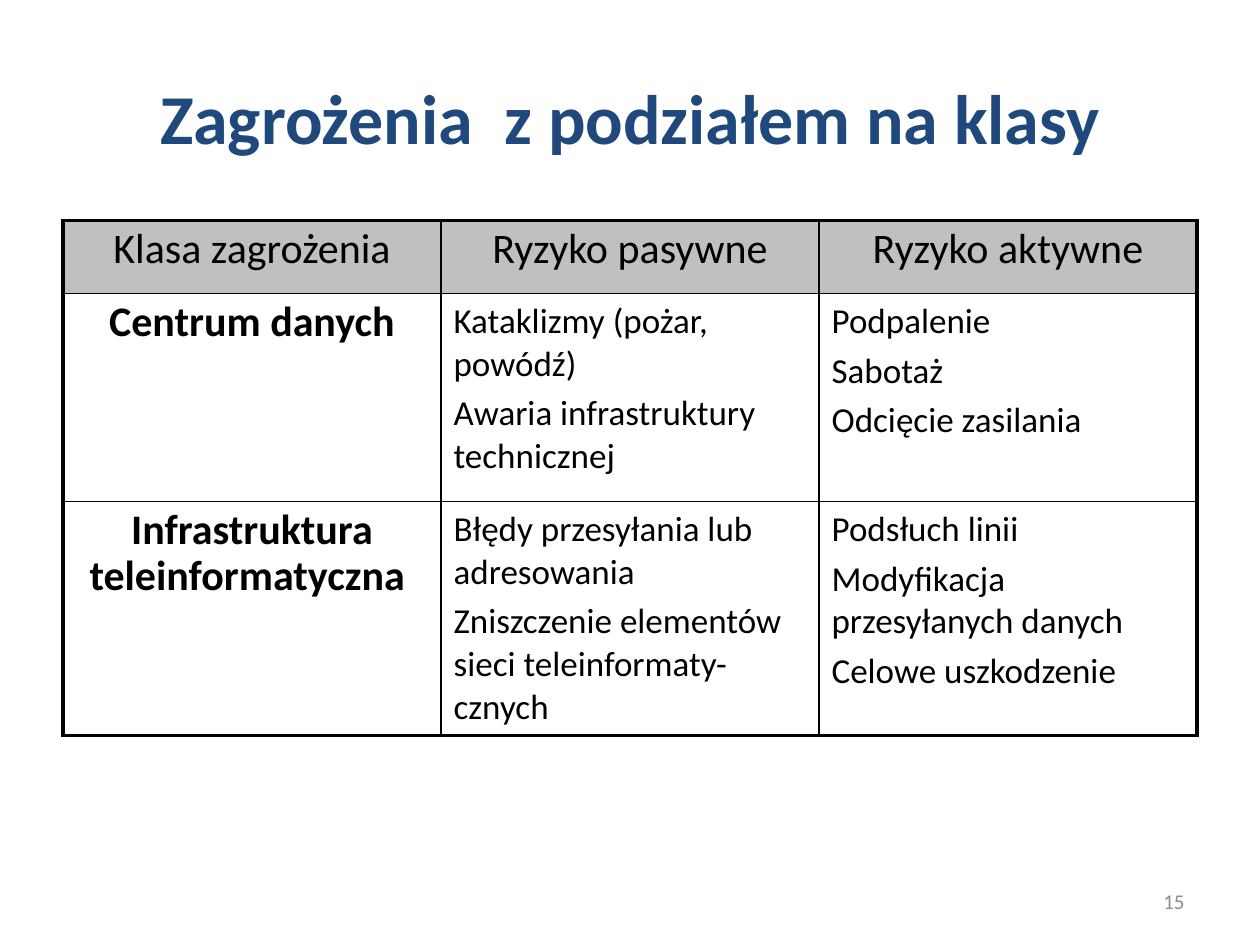
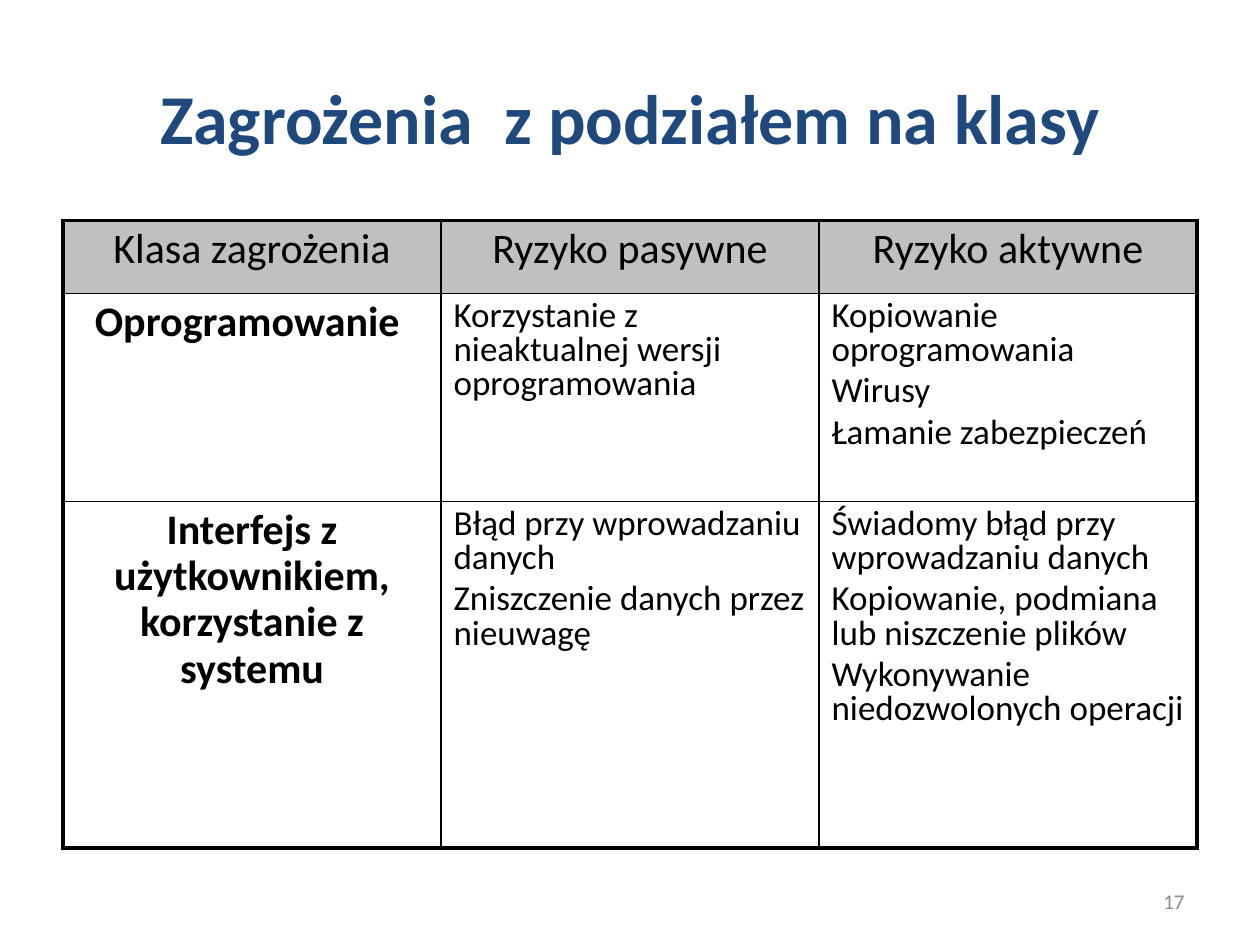
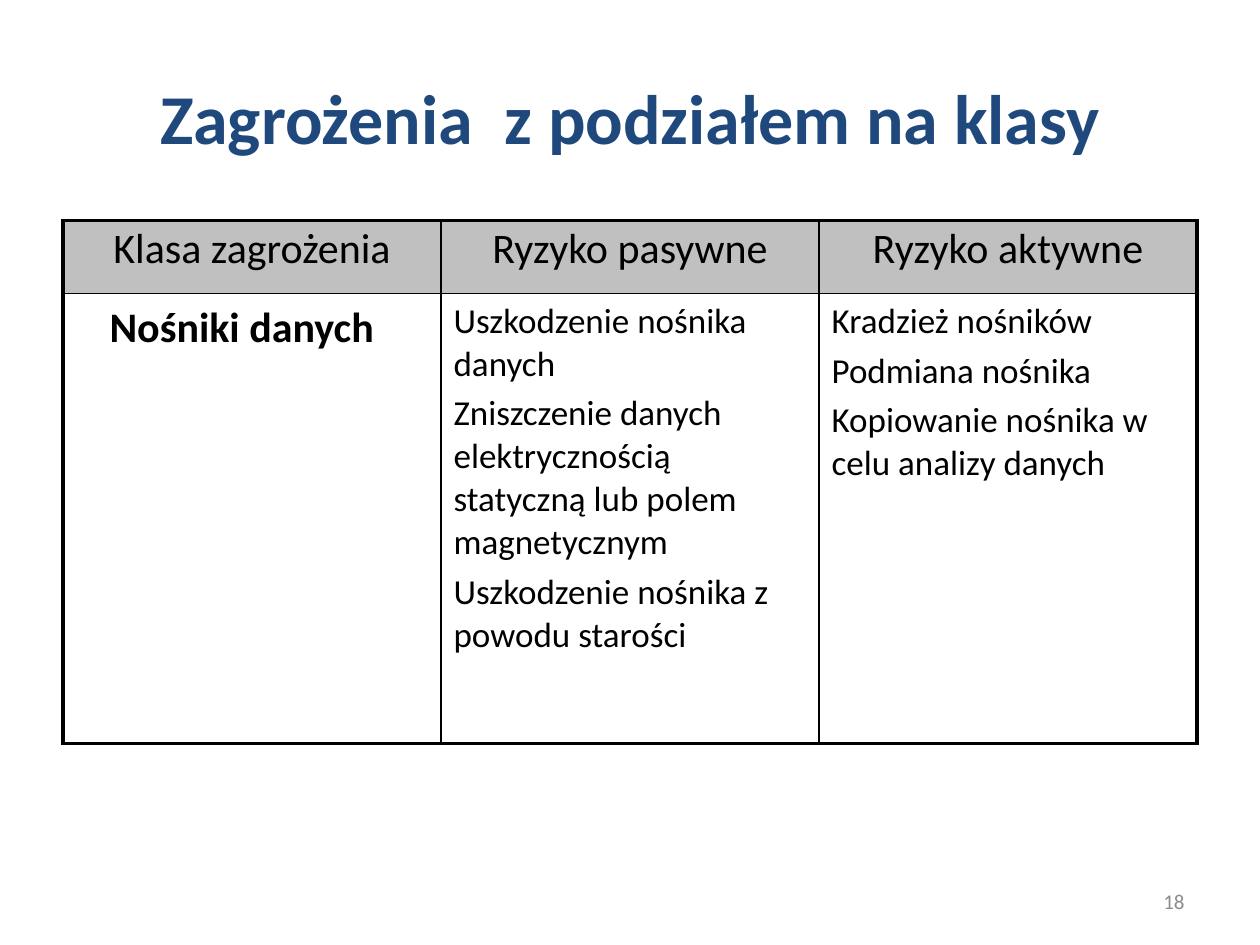
from lxml.etree import SubElement
from pptx import Presentation
from pptx.dml.color import RGBColor
from pptx.enum.text import MSO_ANCHOR, PP_ALIGN
from pptx.oxml.ns import qn
from pptx.util import Inches, Pt

TITLE = "Zagrożenia  z podziałem na klasy"
HEADINGS = ["Klasa zagrożenia", "Ryzyko pasywne", "Ryzyko aktywne"]
HEADING_HEIGHT = 0.58


def color(hex_string):
    return RGBColor.from_string(hex_string)


class ThreatDeck:
    FONT = "Calibri"
    NAVY, BLACK, SILVER, GRAY = "1F497D", "000000", "C0C0C0", "8C8C8C"
    OUTER, INNER = 2.25, 1
    LEFT, WIDTH = 0.5, 9

    def __init__(self):
        self.deck = Presentation()
        self.deck.slide_width, self.deck.slide_height = Inches(10), Inches(7.5)
        self.page = None

    def add_page(self):
        self.page = self.deck.slides.add_slide(self.deck.slide_layouts[5])

    def add_span(self, para, text, size, hex_string, bold=False):
        span = para.add_run()
        span.text = text
        span.font.name, span.font.size, span.font.bold = self.FONT, Pt(size), bold
        span.font.color.rgb = color(hex_string)

    def place_title(self, text):
        box = self.page.shapes.title
        box.left, box.top = Inches(self.LEFT), Inches(0.3)
        box.width, box.height = Inches(self.WIDTH), Inches(1.25)
        box.text_frame.vertical_anchor = MSO_ANCHOR.MIDDLE
        para = box.text_frame.paragraphs[0]
        para.alignment = PP_ALIGN.CENTER
        self.add_span(para, text, 40, self.NAVY, True)

    def add_page_number(self, number):
        box = self.page.shapes.add_textbox(Inches(7.17), Inches(6.95), Inches(2.33), Inches(0.4))
        box.text_frame.word_wrap = True
        box.text_frame.vertical_anchor = MSO_ANCHOR.MIDDLE
        para = box.text_frame.paragraphs[0]
        para.alignment = PP_ALIGN.RIGHT
        self.add_span(para, str(number), 12, self.GRAY)

    def set_borders(self, cell, outer_edges):
        properties = cell._tc.get_or_add_tcPr()
        for side, is_outer in outer_edges.items():
            width = Pt(self.OUTER if is_outer else self.INNER)
            line = SubElement(properties, qn(f"a:ln{side}"), w=str(width))
            SubElement(SubElement(line, qn("a:solidFill")), qn("a:srgbClr"), val=self.BLACK)

    def fill_cell(self, cell, paragraphs, size, bold, align, spacing):
        """Each paragraph is a string or a list of (text, size, bold) spans."""
        for index, content in enumerate(paragraphs):
            frame = cell.text_frame
            para = frame.add_paragraph() if index else frame.paragraphs[0]
            para.alignment, para.line_spacing = align, spacing
            para.space_before = Pt(size * 0.2)
            spans = [(content, size, bold)] if isinstance(content, str) else content
            for text, span_size, span_bold in spans:
                self.add_span(para, text, span_size, self.BLACK, span_bold)

    def add_threat_table(self, threats, heights, body_spacing):
        rows = [[[heading] for heading in HEADINGS]] + threats
        heights = [HEADING_HEIGHT] + heights
        columns = len(HEADINGS)
        frame = self.page.shapes.add_table(
            len(rows), columns, Inches(self.LEFT), Inches(1.75),
            Inches(self.WIDTH), Inches(sum(heights)))
        table = frame.table
        table.first_row = table.horz_banding = False
        for column in table.columns:
            column.width = Inches(self.WIDTH / columns)
        for r, (row, height) in enumerate(zip(rows, heights)):
            table.rows[r].height = Inches(height)
            for c, paragraphs in enumerate(row):
                cell = table.cell(r, c)
                self.set_borders(cell, {"L": c == 0, "R": c == columns - 1,
                                        "T": r == 0, "B": r == len(rows) - 1})
                if r == 0:
                    cell.fill.solid()
                    cell.fill.fore_color.rgb = color(self.SILVER)
                else:
                    cell.fill.background()
                if r == 0 or c == 0:
                    self.fill_cell(cell, paragraphs, 24, r > 0, PP_ALIGN.CENTER, 0.9)
                else:
                    self.fill_cell(cell, paragraphs, 20, False, PP_ALIGN.LEFT, body_spacing)


# Page number, row heights, body line spacing, threats by class
PAGES = [
    (15, [1.65, 1.84], 1.0, [
        [["Centrum danych"],
         ["Kataklizmy (pożar, powódź)", "Awaria infrastruktury technicznej"],
         ["Podpalenie", "Sabotaż", "Odcięcie zasilania"]],
        [["Infrastruktura teleinformatyczna "],
         ["Błędy przesyłania lub adresowania",
          "Zniszczenie elementów sieci teleinformaty-cznych"],
         ["Podsłuch linii", "Modyfikacja przesyłanych danych", "Celowe uszkodzenie"]],
    ]),
    (17, [1.65, 2.75], 0.8, [
        [["Oprogramowanie "],
         ["Korzystanie z nieaktualnej wersji oprogramowania"],
         ["Kopiowanie oprogramowania", "Wirusy", "Łamanie zabezpieczeń"]],
        [["Interfejs z użytkownikiem, korzystanie z systemu"],
         ["Błąd przy wprowadzaniu danych", "Zniszczenie danych przez nieuwagę"],
         ["Świadomy błąd przy wprowadzaniu danych",
          "Kopiowanie, podmiana lub niszczenie plików",
          "Wykonywanie niedozwolonych operacji"]],
    ]),
    (18, [3.57], 1.0, [
        [[[("Nośniki danych", 24, True), (" ", 28, False), (" ", 24, True)]],
         ["Uszkodzenie nośnika danych",
          "Zniszczenie danych elektrycznością statyczną lub polem magnetycznym",
          "Uszkodzenie nośnika z powodu starości"],
         ["Kradzież nośników", "Podmiana nośnika",
          "Kopiowanie nośnika w celu analizy danych"]],
    ]),
]


def main():
    builder = ThreatDeck()
    for number, heights, spacing, threats in PAGES:
        builder.add_page()
        builder.place_title(TITLE)
        builder.add_threat_table(threats, heights, spacing)
        builder.add_page_number(number)
    builder.deck.save("out.pptx")


if __name__ == "__main__":
    main()
